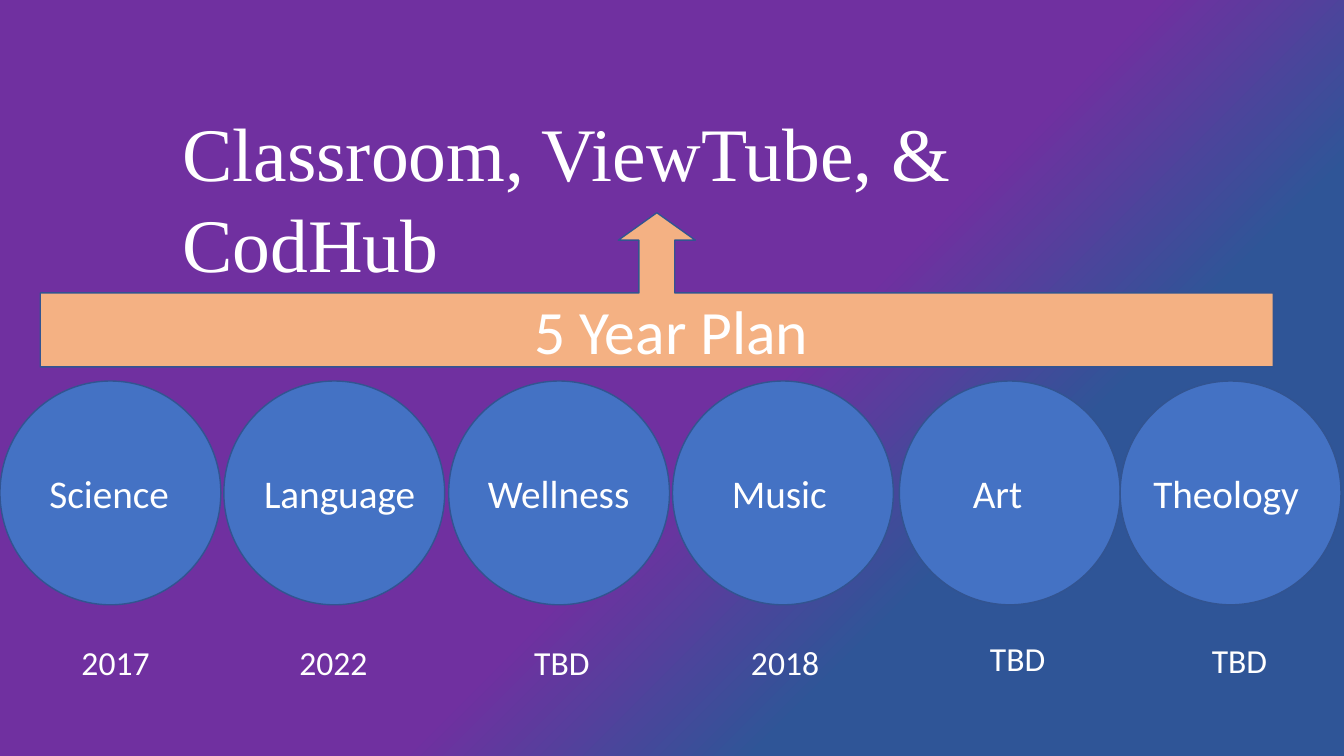
from collections import namedtuple

from pptx import Presentation
from pptx.dml.color import RGBColor
from pptx.enum.shapes import MSO_SHAPE as Preset
from pptx.enum.text import MSO_AUTO_SIZE as AutoSize
from pptx.util import Inches, Pt

WHITE = RGBColor(0xFF, 0xFF, 0xFF)
PURPLE = RGBColor(0x70, 0x30, 0xA0)
NAVY = RGBColor(0x2F, 0x55, 0x97)
BLUE = RGBColor(0x44, 0x72, 0xC4)
OUTLINE = RGBColor(0x32, 0x54, 0x91)
ORANGE = RGBColor(0xF4, 0xB1, 0x83)

CIRCLE_WIDTH, CIRCLE_HEIGHT = 2.19, 2.22
LABEL_DROP = 0.83

# left is on the slide; the other offsets are from the circle's top left corner
Subject = namedtuple("Subject", "name year left label_dx year_dx year_dy")
SUBJECTS = [
    Subject("Science", "2017", 0, 0.39, 0.71, 2.54),
    Subject("Language", "2022", 2.22, 0.3, 0.65, 2.54),
    Subject("Wellness", "TBD", 4.45, 0.29, 0.75, 2.54),
    Subject("Music", "2018", 6.67, 0.49, 0.68, 2.54),
    Subject("Art", "TBD", 8.92, 0.63, 0.8, 2.5),
    Subject("Theology", "TBD", 11.11, 0.23, 0.81, 2.52),
]


def add_text(slide, text, left, top, width, height, size, font="Calibri"):
    box = slide.shapes.add_textbox(*map(Inches, (left, top, width, height)))
    frame = box.text_frame
    frame.word_wrap = True
    frame.auto_size = AutoSize.SHAPE_TO_FIT_TEXT
    run = frame.paragraphs[0].add_run()
    run.text = text
    run.font.name = font
    run.font.size = Pt(size)
    run.font.color.rgb = WHITE


def add_filled_shape(slide, preset, left, top, width, height, fill):
    shape = slide.shapes.add_shape(preset, *map(Inches, (left, top, width, height)))
    shape.shadow.inherit = False
    shape.fill.solid()
    shape.fill.fore_color.rgb = fill
    shape.line.color.rgb = OUTLINE
    shape.line.width = Pt(1)
    return shape


def paint_background(slide):
    fill = slide.background.fill
    fill.gradient()
    fill.gradient_angle = 315
    for stop, position, color in zip(fill.gradient_stops, (0.55, 0.72), (PURPLE, NAVY)):
        stop.position = position
        stop.color.rgb = color


def add_subject(slide, subject, top):
    """Place a circle with its name inside and its year below."""
    left = subject.left
    add_filled_shape(slide, Preset.OVAL, left, top, CIRCLE_WIDTH, CIRCLE_HEIGHT, BLUE)
    add_text(slide, subject.name, left + subject.label_dx, top + LABEL_DROP,
             1.99, 0.57, size=28)
    add_text(slide, subject.year, left + subject.year_dx, top + subject.year_dy,
             1.31, 0.5, size=24)


def add_plan_banner(slide, left, top, width, height):
    """Place a bar with an upward arrow, made from a callout turned on its side."""
    callout = add_filled_shape(
        slide, Preset.RIGHT_ARROW_CALLOUT,
        left + (width - height) / 2, top + (height - width) / 2, height, width, ORANGE)
    callout.rotation = 270
    for index, value in enumerate((0.232, 0.25, 0.178, 0.48)):
        callout.adjustments[index] = value
    add_text(slide, "5 Year Plan", left + 4.8, top + 0.75, 5.64, 0.84, size=44)


def main():
    presentation = Presentation()
    presentation.slide_width = Inches(13.33)
    presentation.slide_height = Inches(7.5)
    slide = presentation.slides.add_slide(presentation.slide_layouts[6])
    paint_background(slide)
    for subject in SUBJECTS:
        add_subject(slide, subject, top=3.78)
    add_plan_banner(slide, left=0.4, top=2.11, width=12.23, height=1.53)
    add_text(slide, "Classroom, ViewTube, & CodHub", 1.71, 1, 10.5, 1.01,
             size=54, font="Times New Roman")
    presentation.save("out.pptx")


if __name__ == "__main__":
    main()
